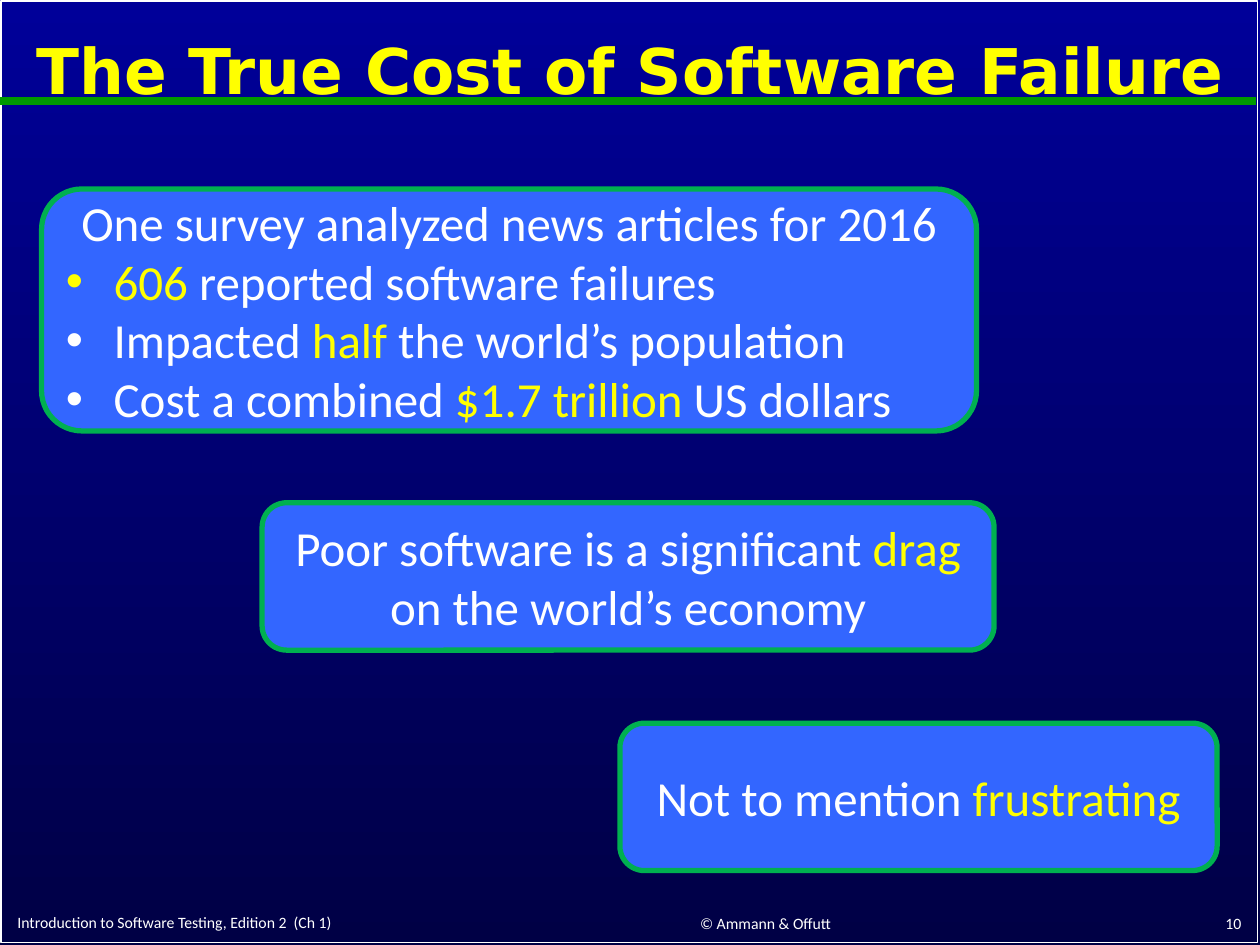
from lxml.etree import SubElement
from pptx import Presentation
from pptx.dml.color import RGBColor
from pptx.enum.shapes import MSO_CONNECTOR, MSO_SHAPE
from pptx.enum.text import MSO_ANCHOR, PP_ALIGN
from pptx.oxml.ns import qn
from pptx.util import Inches, Pt

WHITE, YELLOW, GREEN, BLUE = "FFFFFF", "FFFF00", "00B050", "3366FF"


def color(hex_string):
    return RGBColor.from_string(hex_string)


presentation = Presentation()
presentation.slide_width, presentation.slide_height = Inches(10), Inches(7.5)
slide = presentation.slides.add_slide(presentation.slide_layouts[6])
shapes = slide.shapes


def area(left, top, width, height):
    """Turn percentages of the slide into a position and size."""
    across, down = presentation.slide_width / 100, presentation.slide_height / 100
    return int(left * across), int(top * down), int(width * across), int(height * down)


# Background gradient, dark towards the bottom
background = slide.background.fill
background.gradient()
background.gradient_angle = 270
for stop, shade in zip(background.gradient_stops, ("000099", "000045")):
    stop.color.rgb = color(shade)

# Slide frame
frame = shapes.add_shape(MSO_SHAPE.RECTANGLE, *area(0.1, 0.13, 99.7, 99.6))
frame.shadow.inherit = False
frame.fill.background()
frame.line.color.rgb = color(WHITE)
frame.line.width = Pt(1)

# Rule under the title
left, top, width, height = area(0, 10.67, 99.7, 0)
rule = shapes.add_connector(MSO_CONNECTOR.STRAIGHT, left, top, left + width, top)
rule.line.color.rgb = color("009900")
rule.line.width = Pt(4.5)
SubElement(rule._element.spPr, qn("a:effectLst"))

# Title and footer
labels = [
    ("The True Cost of Software Failure", (0.5, 1.47, 99, 12.67),
     PP_ALIGN.CENTER, MSO_ANCHOR.MIDDLE, "DejaVu Sans", 36, YELLOW),
    ("Introduction to Software Testing, Edition 2  (Ch 1)", (0.4, 95.7, 42, 3.6),
     PP_ALIGN.LEFT, MSO_ANCHOR.BOTTOM, "Calibri", 9, WHITE),
    ("© Ammann & Offutt", (44.9, 95.6, 31.7, 3.7),
     PP_ALIGN.CENTER, MSO_ANCHOR.BOTTOM, "Calibri", 9, WHITE),
    ("10", (78.7, 95.6, 20.8, 3.8),
     PP_ALIGN.RIGHT, MSO_ANCHOR.BOTTOM, "Calibri", 9, WHITE),
]
for text, place, alignment, anchor, font_name, size, text_color in labels:
    text_frame = shapes.add_textbox(*area(*place)).text_frame
    text_frame.word_wrap = True
    text_frame.vertical_anchor = anchor
    text_frame.text = text
    paragraph = text_frame.paragraphs[0]
    paragraph.alignment = alignment
    is_title = size == 36
    if is_title:
        paragraph.line_spacing = 0.9
    font = paragraph.runs[0].font
    font.name, font.size, font.bold = font_name, Pt(size), is_title
    font.color.rgb = color(text_color)

# Cards: the first line is centred, the rest are bullets; | switches to yellow and back
cards = [
    ((3.3, 20, 74.2, 25.6), [
        "One survey analyzed news articles for 2016",
        "|606| reported software failures",
        "Impacted |half| the world’s population",
        "Cost a combined |$1.7 trillion |US dollars",
    ]),
    ((20.8, 53.2, 58.1, 15.6),
     ["Poor software is a significant |drag| on the world’s economy"]),
    ((49.2, 76.53, 47.4, 15.6), ["Not to mention |frustrating"]),
]
for place, lines in cards:
    card = shapes.add_shape(MSO_SHAPE.ROUNDED_RECTANGLE, *area(*place))
    card.shadow.inherit = False
    card.fill.solid()
    card.fill.fore_color.rgb = color(BLUE)
    card.line.color.rgb = color(GREEN)
    card.line.width = Pt(3)
    text_frame = card.text_frame
    text_frame.word_wrap = True
    text_frame.vertical_anchor = MSO_ANCHOR.MIDDLE
    for index, line in enumerate(lines):
        paragraph = text_frame.add_paragraph() if index else text_frame.paragraphs[0]
        paragraph.alignment = PP_ALIGN.LEFT if index else PP_ALIGN.CENTER
        if index:
            properties = paragraph._p.get_or_add_pPr()
            properties.set("marL", str(Inches(0.38)))
            properties.set("indent", str(-Inches(0.38)))
            SubElement(properties, qn("a:buFont"), typeface="Arial")
            SubElement(properties, qn("a:buChar"), char="•")
        for part, words in enumerate(line.split("|")):
            if words:
                run = paragraph.add_run()
                run.text = words
                run.font.name, run.font.size = "Calibri", Pt(28)
                run.font.color.rgb = color(YELLOW if part % 2 else WHITE)

presentation.save("out.pptx")
